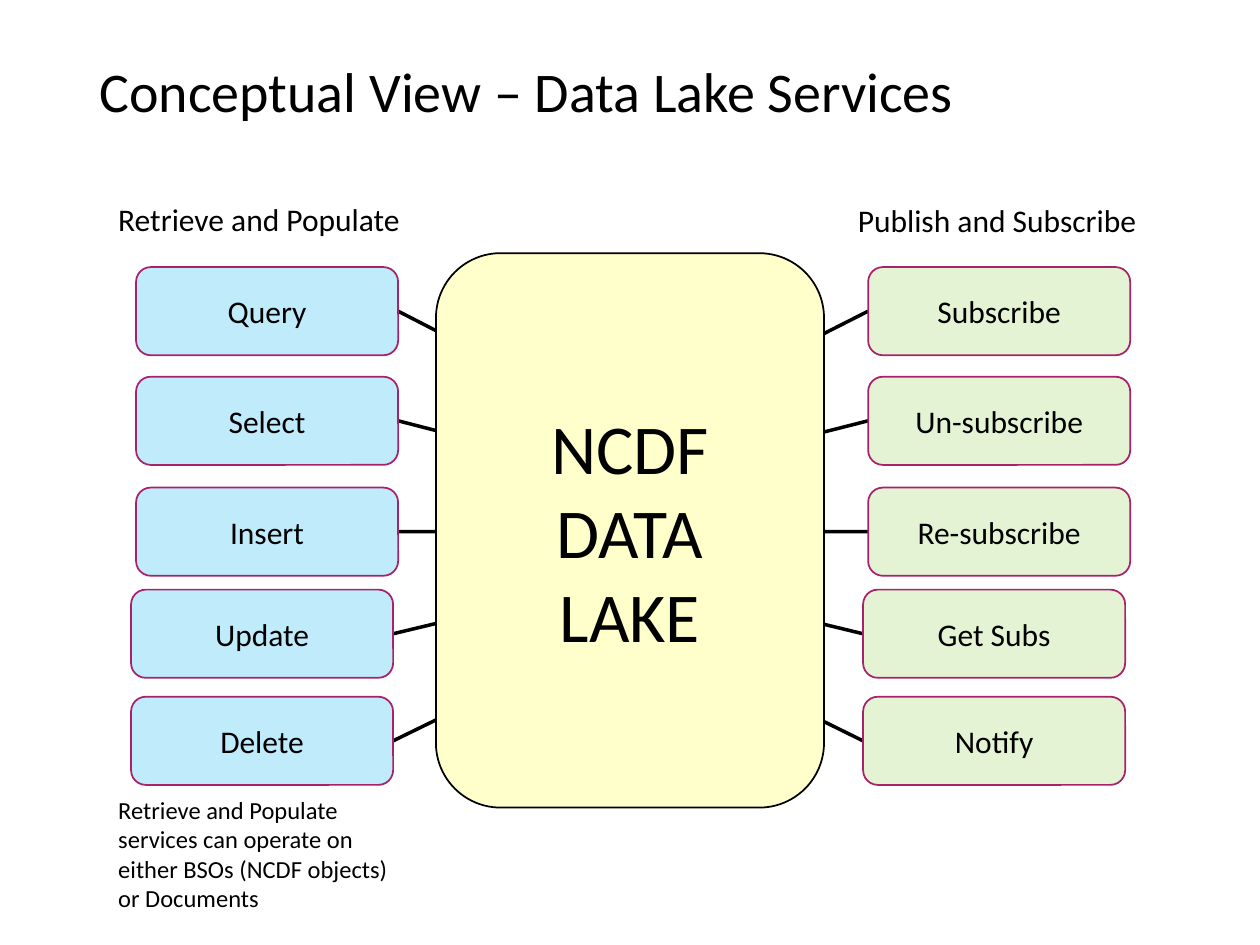
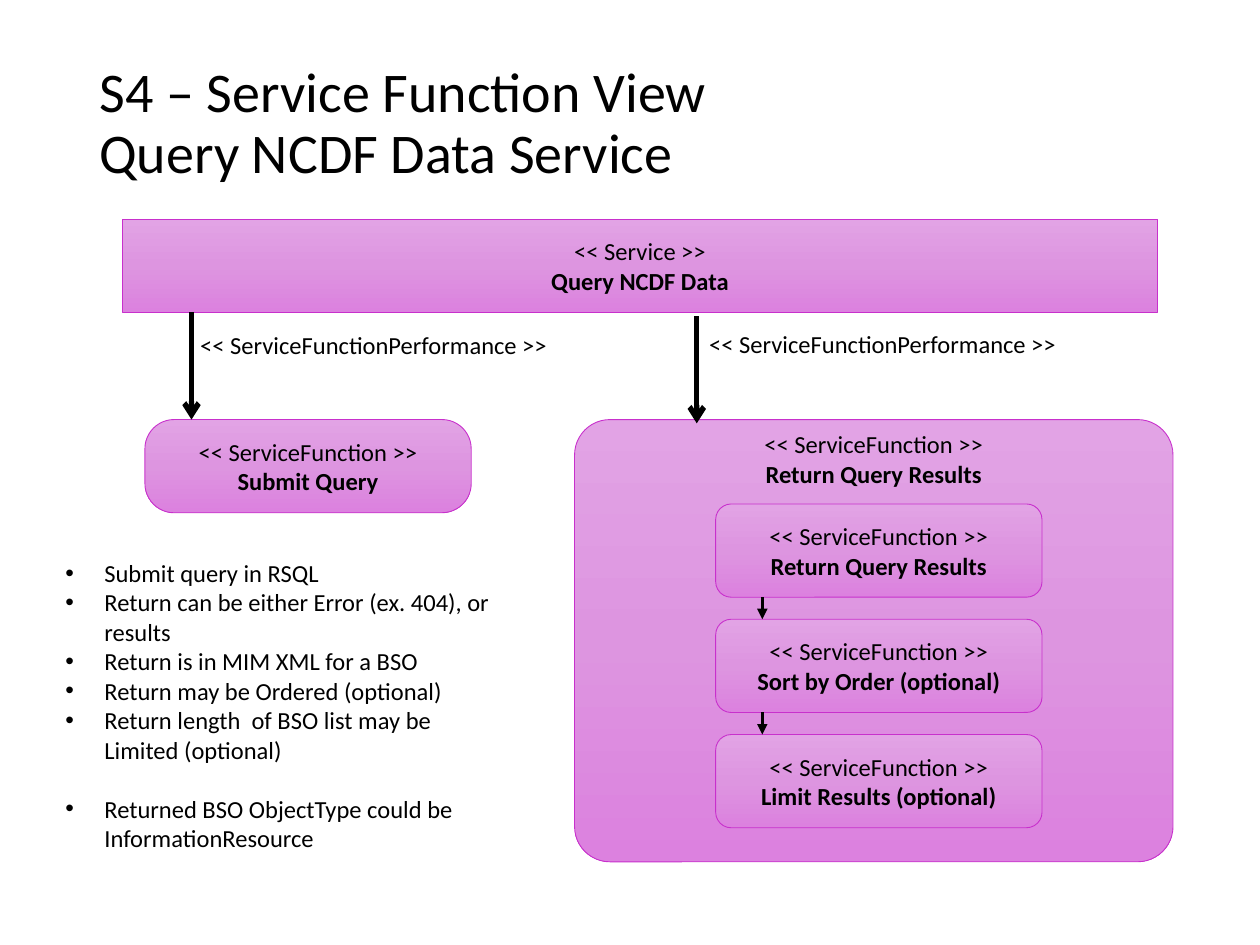
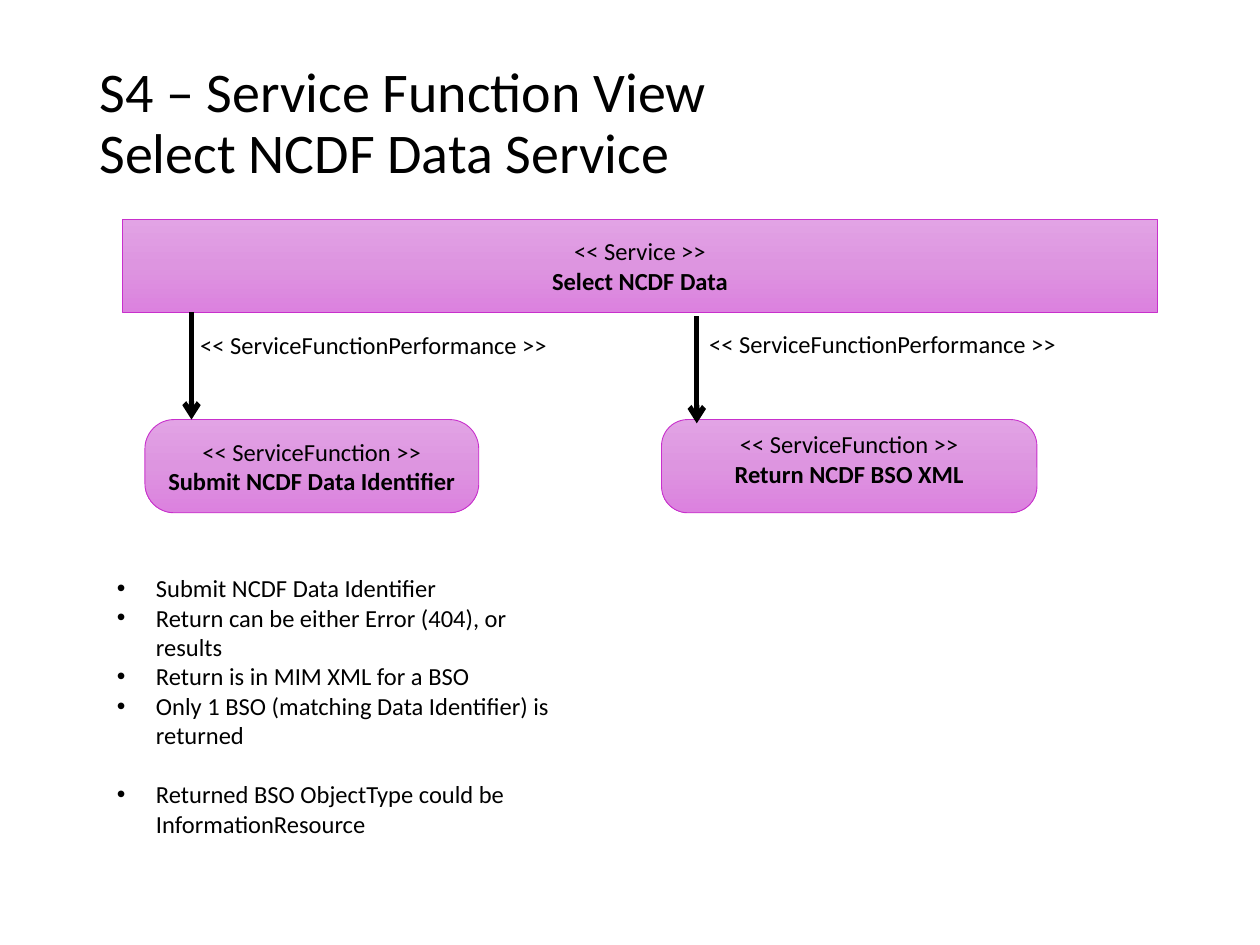
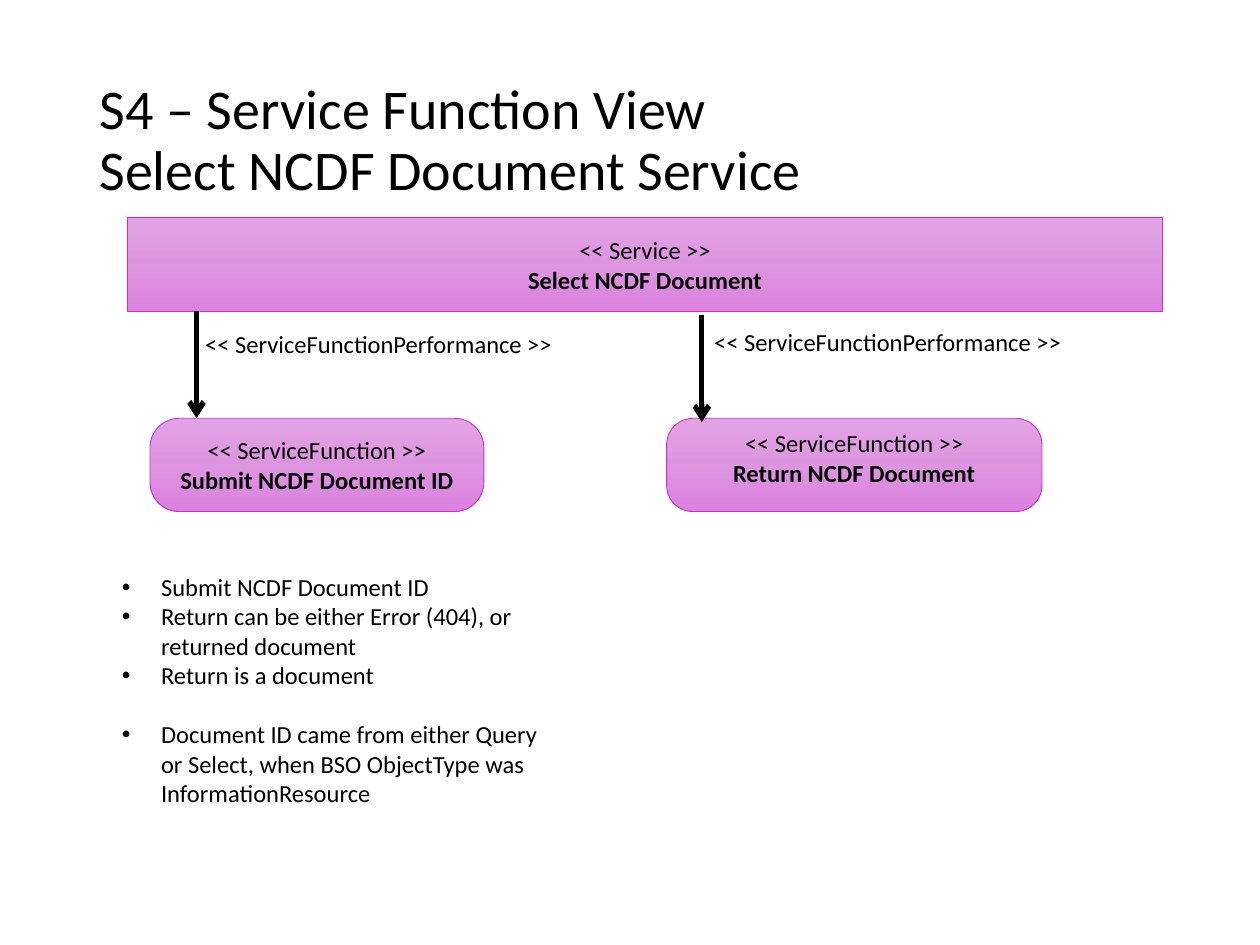
import copy

import pptx
import pptx.dml.color
import pptx.enum.dml
import pptx.enum.shapes
import pptx.enum.text
import pptx.oxml
import pptx.oxml.ns
import pptx.util

Inches = pptx.util.Inches
RGBColor = pptx.dml.color.RGBColor
Shape = pptx.enum.shapes.MSO_SHAPE
Align = pptx.enum.text.PP_ALIGN
Anchor = pptx.enum.text.MSO_ANCHOR
qn = pptx.oxml.ns.qn

BLACK = RGBColor(0x00, 0x00, 0x00)
LAKE_YELLOW = RGBColor(0xFF, 0xFF, 0xCC)
RETRIEVE_BLUE = RGBColor(0x00, 0xB0, 0xF0)
PUBLISH_GREEN = RGBColor(0x92, 0xD0, 0x50)
SERVICE_EDGE = RGBColor(0xA8, 0x21, 0x6B)
FUNCTION_EDGE = RGBColor(0xC8, 0x30, 0xCC)
FUNCTION_FILL = (
    RGBColor(0xE2, 0xA3, 0xE5),
    RGBColor(0xDD, 0x95, 0xE0),
    RGBColor(0xDC, 0x81, 0xDF),
)
FONT = "Calibri"
FUNCTION = "<< ServiceFunction >>"
PERFORMANCE = "<< ServiceFunctionPerformance >>"


def add_element(parent, tag, **attributes):
    """Append a DrawingML element with the given attributes."""
    child = pptx.oxml.parse_xml(f"<a:{tag} {pptx.oxml.ns.nsdecls('a')}/>")
    for name, value in attributes.items():
        child.set(name, str(value))
    parent.append(child)
    return child


def write(frame, text, size=14, bold=False, align=None, bullet=False, before=None, spacing=None):
    """Write one paragraph into the frame, reusing an empty first one."""
    para = frame.paragraphs[0]
    if para.runs:
        para = frame.add_paragraph()
    para.text = text
    if bullet:
        properties = para._p.get_or_add_pPr()
        properties.set("marL", str(Inches(0.31)))
        properties.set("indent", str(Inches(-0.31)))
        add_element(properties, "buFont", typeface="Arial")
        add_element(properties, "buChar", char="•")
    if align is not None:
        para.alignment = align
    if before is not None:
        para.space_before = pptx.util.Pt(before)
    if spacing is not None:
        para.line_spacing = spacing
    for span in para.runs:
        span.font.name = FONT
        span.font.size = pptx.util.Pt(size)
        span.font.bold = bold
        span.font.color.rgb = BLACK


class Deck:
    """Holds the presentation, its style and the current slide."""

    def __init__(self):
        """Start an empty 4:3 presentation."""
        self.show = pptx.Presentation()
        self.show.slide_width, self.show.slide_height = Inches(10), Inches(7.5)
        self.page = None

    def new_page(self, title, height):
        """Add a blank slide with its title."""
        self.page = self.show.slides.add_slide(self.show.slide_layouts[6])
        frame = self.text_box(0.69, 0.4, 8.62, height, grow=False)
        frame.vertical_anchor = Anchor.MIDDLE
        write(frame, title, size=32, spacing=0.9)

    def text_box(self, left, top, width, height, wrap=True, grow=True):
        """Add an empty text box and return its frame."""
        box = self.page.shapes.add_textbox(Inches(left), Inches(top), Inches(width), Inches(height))
        frame = box.text_frame
        frame.word_wrap = wrap
        sizes = pptx.enum.text.MSO_AUTO_SIZE
        frame.auto_size = sizes.SHAPE_TO_FIT_TEXT if grow else sizes.NONE
        return frame

    def label(self, text, left, top, width, height=0.34, size=14):
        """Add a one-line label."""
        write(self.text_box(left, top, width, height, wrap=False), text, size=size)

    def shape(self, kind, left, top, width, height, edge, edge_width, corner=None):
        """Add an outlined preset shape with centred text."""
        box = self.page.shapes.add_shape(
            kind, Inches(left), Inches(top), Inches(width), Inches(height))
        box.shadow.inherit = False
        box.line.color.rgb = edge
        box.line.width = pptx.util.Pt(edge_width)
        if corner is not None:
            box.adjustments[0] = corner
        box.text_frame.word_wrap = True
        box.text_frame.vertical_anchor = Anchor.MIDDLE
        return box

    def solid_box(self, lines, left, top, width, height, fill, edge, size, alpha=None):
        """Add a rounded box with a plain, possibly transparent fill."""
        box = self.shape(Shape.ROUNDED_RECTANGLE, left, top, width, height, edge, 1)
        box.fill.solid()
        box.fill.fore_color.rgb = fill
        if alpha is not None:
            color = box.element.spPr.find(qn("a:solidFill")).find(qn("a:srgbClr"))
            add_element(color, "alpha", val=alpha * 1000)
        for line in lines:
            write(box.text_frame, line, size=size, align=Align.CENTER)

    def function_box(self, left, top, width, height=0.74, name=None, stereotype=FUNCTION,
                     kind=Shape.ROUNDED_RECTANGLE, corner=None):
        """Add a purple gradient box, with a stereotype and a name if given."""
        box = self.shape(kind, left, top, width, height, FUNCTION_EDGE, 0.5, corner)
        box.fill.gradient()
        box.fill.gradient_angle = 270
        stop_list = box.element.spPr.find(qn("a:gradFill")).find(qn("a:gsLst"))
        stop_list.insert(1, copy.deepcopy(stop_list[0]))
        for stop, color, position in zip(box.fill.gradient_stops, FUNCTION_FILL, (0, 0.5, 1)):
            stop.color.rgb = color
            stop.position = position
        if name:
            self.name_function(box.text_frame, stereotype, name)

    def name_function(self, frame, stereotype, name):
        """Write a stereotype line above a bold name."""
        write(frame, stereotype, align=Align.CENTER)
        write(frame, name, bold=True, align=Align.CENTER)

    def line(self, start, end, width=2, head=None):
        """Add a straight black line, with an arrowhead at its end if given."""
        points = [Inches(value) for value in (*start, *end)]
        link = self.page.shapes.add_connector(pptx.enum.shapes.MSO_CONNECTOR.STRAIGHT, *points)
        link.line.color.rgb = BLACK
        link.line.width = pptx.util.Pt(width)
        if head:
            add_element(link.line._get_or_add_ln(), "tailEnd", type=head)
        add_element(link.element.spPr, "effectLst")

    def bullets(self, items, left, top, width, height):
        """Add a bullet list whose last item stands one line apart."""
        frame = self.text_box(left, top, width, height)
        for item in items:
            write(frame, item, bullet=True, before=17 if item == items[-1] else None)


def lake_page(deck):
    """Build the conceptual view of the data lake."""
    deck.new_page("Conceptual View – Data Lake Services", 0.7)
    lake_left, lake_width, lake_middle = 3.46, 3.08, 4.21
    box_width, box_height = 2.08, 0.7
    tops = (2.12, 2.99, 3.87, 4.68, 5.53)
    insets = (0.04, 0.04, 0.04, 0, 0)
    retrieve_left, publish_left = 1.04, 6.85
    sides = (
        (publish_left, 0, lake_left, PUBLISH_GREEN,
         ("Subscribe", "Un-subscribe", "Re-subscribe", "Get Subs", "Notify")),
        (retrieve_left, box_width, lake_left + lake_width, RETRIEVE_BLUE,
         ("Query", "Select", "Insert", "Update", "Delete")),
    )
    for left, edge, target, _, _ in sides:
        for top, inset in zip(tops, insets):
            deck.line((left + inset + edge, top + box_height / 2), (target, lake_middle))
    deck.solid_box(("NCDF", "DATA", "LAKE"), lake_left, 2.01, lake_width, 4.4,
                   LAKE_YELLOW, BLACK, 40)
    for left, _, _, fill, names in sides:
        for name, top, inset in zip(names, tops, insets):
            deck.solid_box((name,), left + inset, top, box_width, box_height,
                           fill, SERVICE_EDGE, 18, alpha=25)
    deck.label("Retrieve and Populate", 0.84, 1.54, 2.46, 0.4, size=18)
    deck.label("Publish and Subscribe", 6.71, 1.55, 2.44, 0.4, size=18)
    write(deck.text_box(0.84, 6.26, 2.46, 1.04),
          "Retrieve and Populate services can operate on either BSOs (NCDF objects) or Documents")


def service_page(deck, service, submit, result, items, list_place, result_box=(5.25, 2.98, 0.74),
                 submit_width=2.65, label_width=2.03, corner=0.283, title_height=1.18,
                 right=0, up=0):
    """Build a service with its submit and return functions."""
    deck.new_page(f"S4 – Service Function View\n{service} Service", title_height)
    deck.function_box(0.97 + right, 1.74 - up, 8.22, name=service,
                      stereotype="<< Service >>", kind=Shape.RECTANGLE)
    deck.function_box(1.15 + right, 3.33 - up, submit_width, name=submit, corner=0.314)
    left, width, height = result_box
    deck.function_box(left + right, 3.33 - up, width, height, corner=corner)
    label_left = left + right + (width - label_width) / 2
    deck.name_function(deck.text_box(label_left, 3.36 - up, label_width, 0.57, wrap=False),
                       FUNCTION, result)
    for arrow_x, arrow_top, label_x, label_top in ((1.52, 2.48, 1.49, 2.57),
                                                   (5.53, 2.51, 5.53, 2.56)):
        x, top = arrow_x + right, arrow_top - up
        deck.line((x, top), (x, top + 0.85), width=3, head="arrow")
        deck.label(PERFORMANCE, label_x + right, label_top - up, 2.98)
    deck.bullets(items, *list_place)


def query_steps(deck):
    """Add the chain of steps inside the query's return function."""
    names = ("Return Query Results", "Sort by Order (optional)", "Limit Results (optional)")
    first_top, pitch, height = 4, 0.915, 0.74
    for index, name in enumerate(names):
        top = first_top + index * pitch
        deck.function_box(5.68, top, 2.59, height, name=name)
        if index:
            deck.line((6.05, top - pitch + height), (6.05, top), head="triangle")


def main():
    """Build and save the four slides."""
    deck = Deck()
    lake_page(deck)
    service_page(
        deck, "Query NCDF Data", "Submit Query", "Return Query Results",
        ("Submit query in RSQL",
         "Return can be either Error (ex. 404), or results",
         "Return is in MIM XML for a BSO",
         "Return may be Ordered (optional)",
         "Return length  of BSO list may be Limited (optional)",
         "Returned BSO ObjectType could be InformationResource"),
        (0.42, 4.38, 3.58, 2.46), result_box=(4.56, 4.75, 3.51),
        submit_width=2.59, label_width=1.95, corner=0.08)
    query_steps(deck)
    service_page(
        deck, "Select NCDF Data", "Submit NCDF Data Identifier", "Return NCDF BSO XML",
        ("Submit NCDF Data Identifier",
         "Return can be either Error (404), or results",
         "Return is in MIM XML for a BSO",
         "Only 1 BSO (matching Data Identifier) is returned",
         "Returned BSO ObjectType could be InformationResource"),
        (0.83, 4.5, 3.64, 2.22))
    service_page(
        deck, "Select NCDF Document", "Submit NCDF Document ID", "Return NCDF Document",
        ("Submit NCDF Document ID",
         "Return can be either Error (404), or returned document",
         "Return is a document",
         "Document ID came from either Query or Select, "
         "when BSO ObjectType was InformationResource"),
        (0.87, 4.49, 3.64, 1.99), label_width=2.14, title_height=1.45, right=0.04, up=0.01)
    deck.show.save("out.pptx")


if __name__ == "__main__":
    main()
